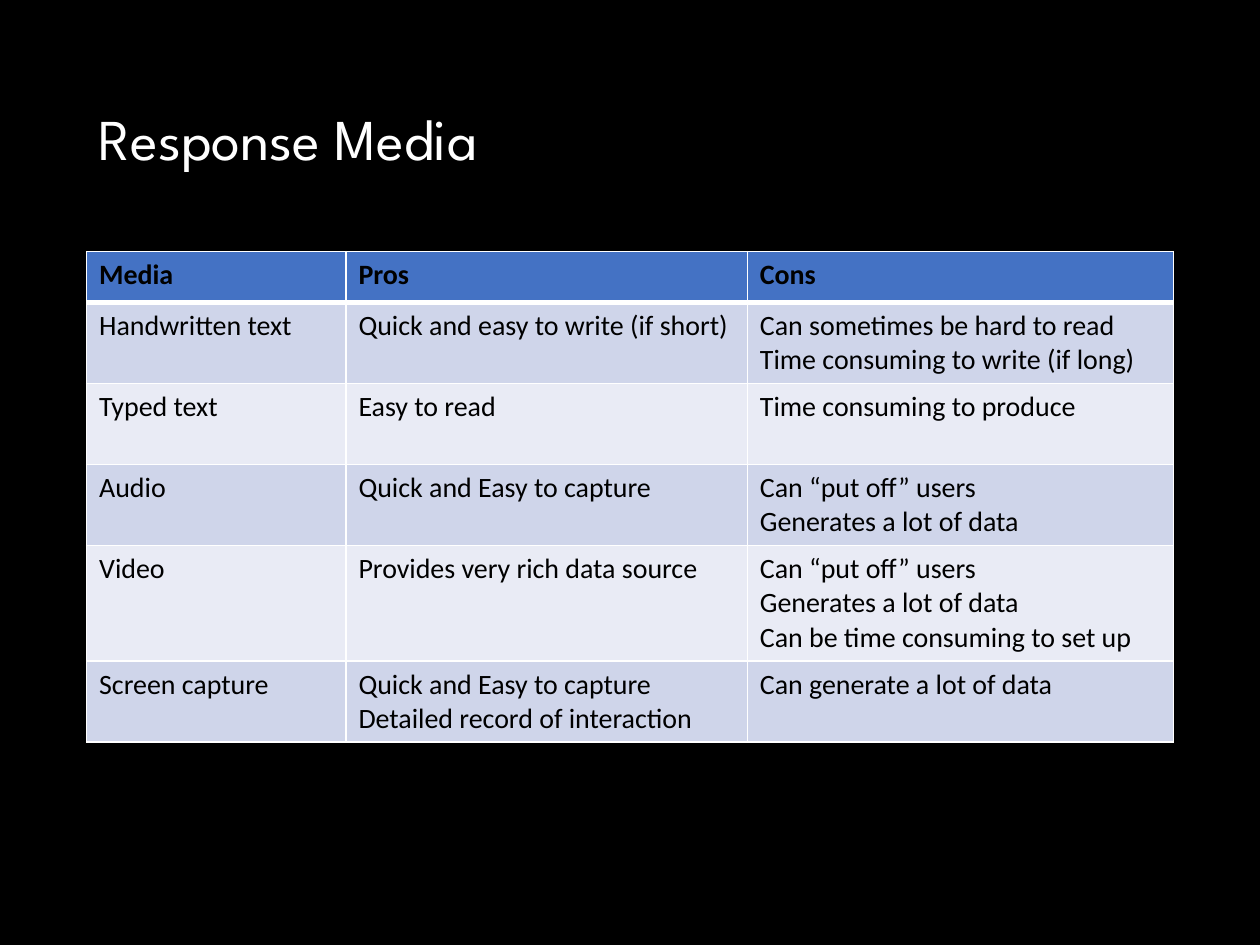
from pptx import Presentation
from pptx.util import Pt
from pptx.dml.color import RGBColor
from pptx.enum.text import MSO_ANCHOR
from pptx.oxml.ns import qn
from lxml.etree import SubElement

BLACK = RGBColor(0x00, 0x00, 0x00)
WHITE = RGBColor(0xFF, 0xFF, 0xFF)
BLUE = RGBColor(0x44, 0x72, 0xC4)
BAND_DARK = RGBColor(0xCF, 0xD5, 0xEA)
BAND_LIGHT = RGBColor(0xE9, 0xEB, 0xF5)

LEFT, WIDTH = 49.5, 621
COL_WIDTHS = [148.2, 229.4, 243.4]
ROW_HEIGHTS = [29.2, 46.3, 46.3, 46.3, 66, 46.3]
MEDIA_ROWS = [
    ["Media", "Pros", "Cons"],
    ["Handwritten text", "Quick and easy to write (if short)",
     "Can sometimes be hard to read\nTime consuming to write (if long)"],
    ["Typed text", "Easy to read", "Time consuming to produce"],
    ["Audio", "Quick and Easy to capture",
     "Can “put off” users\nGenerates a lot of data"],
    ["Video", "Provides very rich data source",
     "Can “put off” users\nGenerates a lot of data\nCan be time consuming to set up"],
    ["Screen capture",
     "Quick and Easy to capture\nDetailed record of interaction",
     "Can generate a lot of data"],
]


class SlideBuilder:
    title_font, title_size = "League Spartan", 33
    body_font, body_size = "Calibri", 16

    def __init__(self, prs, background):
        self.slide = prs.slides.add_slide(prs.slide_layouts[6])
        fill = self.slide.background.fill
        fill.solid()
        fill.fore_color.rgb = background

    def style(self, p, name, size, color, bold=False):
        p.font.name = name
        p.font.size = Pt(size)
        p.font.color.rgb = color
        p.font.bold = bold

    def title(self, text, x, y, w, h):
        sp = self.slide.shapes.add_textbox(Pt(x), Pt(y), Pt(w), Pt(h))
        tf = sp.text_frame
        tf.word_wrap = True
        tf.vertical_anchor = MSO_ANCHOR.MIDDLE
        tf.text = text
        p = tf.paragraphs[0]
        p.line_spacing = 0.9
        self.style(p, self.title_font, self.title_size, WHITE)

    def borders(self, cell, widths):
        tc_pr = cell._tc.get_or_add_tcPr()
        for i, (side, width) in enumerate(widths.items()):
            ln = tc_pr.makeelement(qn(f"a:{side}"), {"w": str(Pt(width))})
            fill = SubElement(ln, qn("a:solidFill"))
            SubElement(fill, qn("a:srgbClr"), val=str(WHITE))
            tc_pr.insert(i, ln)

    def cell(self, cell, text, row):
        header = row == 0
        cell.fill.solid()
        cell.fill.fore_color.rgb = (
            BLUE if header else BAND_DARK if row % 2 else BAND_LIGHT)
        cell.text = text
        for p in cell.text_frame.paragraphs:
            self.style(p, self.body_font, self.body_size, BLACK, header)
        self.borders(cell, {"lnL": 1, "lnR": 1,
                            "lnT": 3 if row == 1 else 1,
                            "lnB": 3 if header else 1})

    def table(self, rows, x, y, col_widths, row_heights):
        table = self.slide.shapes.add_table(
            len(rows), len(col_widths), Pt(x), Pt(y),
            Pt(sum(col_widths)), Pt(sum(row_heights))).table
        for col, width in zip(table.columns, col_widths):
            col.width = Pt(width)
        for i, (row, height) in enumerate(zip(rows, row_heights)):
            table.rows[i].height = Pt(height)
            for j, text in enumerate(row):
                self.cell(table.cell(i, j), text, i)


prs = Presentation()
prs.slide_width, prs.slide_height = Pt(720), Pt(540)
builder = SlideBuilder(prs, BLACK)
builder.title("Response Media", LEFT, 28.75, WIDTH, 104.4)
builder.table(MEDIA_ROWS, LEFT, 143.75, COL_WIDTHS, ROW_HEIGHTS)
prs.save("out.pptx")
